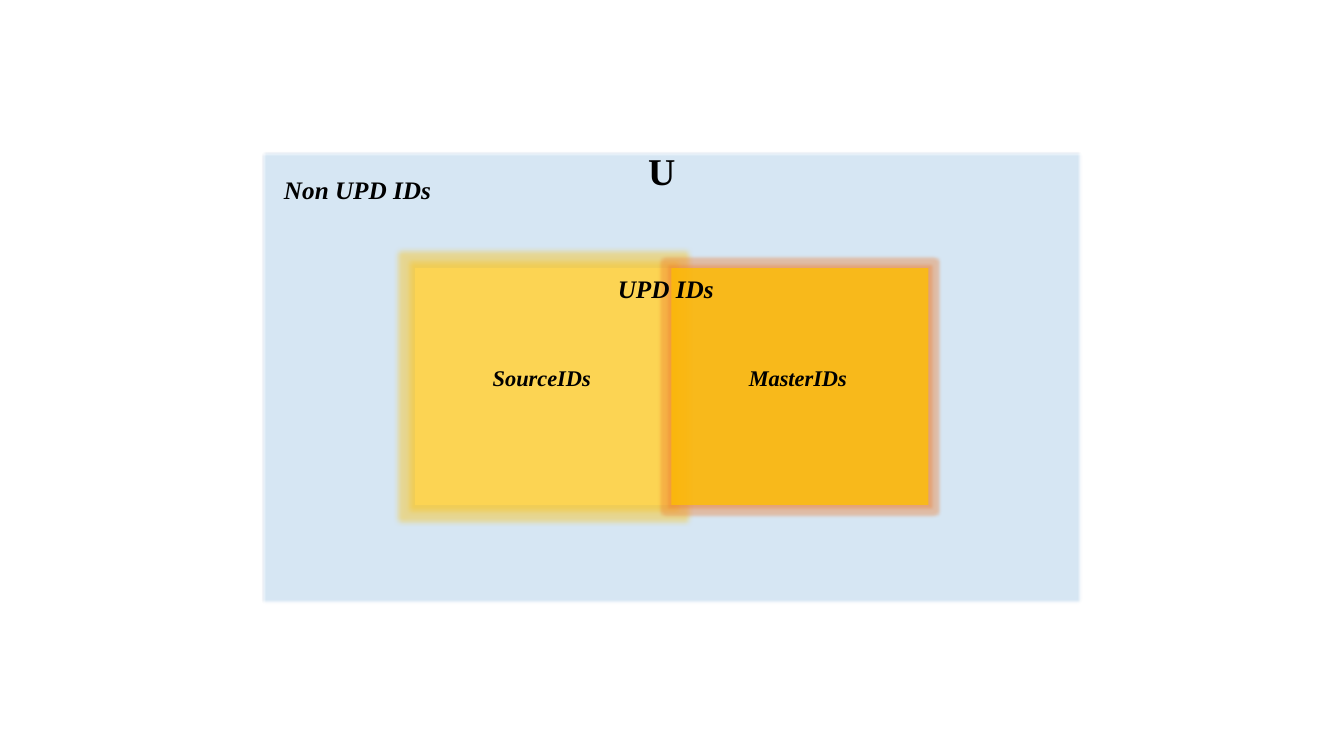
from lxml import etree
from pptx import Presentation
from pptx.dml.color import RGBColor
from pptx.enum.shapes import MSO_SHAPE
from pptx.enum.text import MSO_AUTO_SIZE
from pptx.oxml.ns import qn
from pptx.util import Pt

RECTANGLE = MSO_SHAPE.RECTANGLE
FIT_TEXT = MSO_AUTO_SIZE.SHAPE_TO_FIT_TEXT
FONT = "Times New Roman"
BLACK = "000000"

UNIVERSE = {"box": (187.2, 108.7, 585.4, 322.6), "fill": "BDD7EE", "opacity": 59,
            "line": "325491", "soft_edge": 2.5}
ID_SETS = [
    {"label": "SourceIDs", "fill": "FFD653", "opacity": 85, "glow": ("FFC000", 8)},
    {"label": "MasterIDs", "fill": "FFC000", "opacity": 77, "glow": ("ED7D31", 5)},
]
GLOW_OPACITY = 40
SET_LEFT, SET_TOP, SET_WIDTH, SET_HEIGHT, SET_STEP = 296.6, 191.5, 183.6, 169.2, 182.9
LABEL_WIDTH, LABEL_HEIGHT, LABEL_OFFSET = 87.1, 26.6, 64.8
UNIVERSE_LABELS = [
    ("U", (455.8, 102.2, 30.2, 40.3), {"size": Pt(27)}),
    ("Non UPD IDs", (195.8, 121, 133.9, 28.8), {"size": Pt(18), "italic": True}),
]
UNION_LABEL = ("UPD IDs", (434.2, 191.5, 90.7, 28.8), {"size": Pt(18), "italic": True})
SET_LABEL_FORMAT = {"size": Pt(16), "italic": True}


def color(value):
    return RGBColor.from_string(value)


def points(box):
    return [Pt(value) for value in box]


def add_opacity(color_element, percent):
    etree.SubElement(color_element, qn("a:alpha"), val=str(percent * 1000))


def add_area(box, fill, opacity, line=None, glow=None, soft_edge=None):
    shape = slide.shapes.add_shape(RECTANGLE, *points(box))
    shape.shadow.inherit = False
    shape.fill.solid()
    shape.fill.fore_color.rgb = color(fill)
    properties = shape._element.spPr
    add_opacity(properties.find(qn("a:solidFill")).find(qn("a:srgbClr")), opacity)
    if line:
        shape.line.color.rgb = color(line)
        shape.line.width = Pt(1)
    else:
        shape.line.fill.background()
    effects = properties.find(qn("a:effectLst"))
    if glow:
        glow_color, radius = glow
        element = etree.SubElement(effects, qn("a:glow"), rad=str(Pt(radius)))
        add_opacity(etree.SubElement(element, qn("a:srgbClr"), val=glow_color), GLOW_OPACITY)
    if soft_edge:
        etree.SubElement(effects, qn("a:softEdge"), rad=str(Pt(soft_edge)))


def add_label(text, box, formats):
    frame = slide.shapes.add_textbox(*points(box)).text_frame
    frame.word_wrap = True
    frame.auto_size = FIT_TEXT
    run = frame.paragraphs[0].add_run()
    run.text = text
    run.font.color.rgb = color(BLACK)
    for name, value in {"name": FONT, "bold": True, **formats}.items():
        setattr(run.font, name, value)


presentation = Presentation()
presentation.slide_width, presentation.slide_height = Pt(960), Pt(540)
slide = presentation.slides.add_slide(presentation.slide_layouts[6])

add_area(**UNIVERSE)
for universe_label in UNIVERSE_LABELS:
    add_label(*universe_label)

for index, id_set in enumerate(ID_SETS):
    left = SET_LEFT + index * SET_STEP
    add_area((left, SET_TOP, SET_WIDTH, SET_HEIGHT), id_set["fill"], id_set["opacity"],
             glow=id_set["glow"])
    label_left = left + (SET_WIDTH - LABEL_WIDTH) / 2
    add_label(id_set["label"], (label_left, SET_TOP + LABEL_OFFSET, LABEL_WIDTH, LABEL_HEIGHT),
              SET_LABEL_FORMAT)

add_label(*UNION_LABEL)
presentation.save("out.pptx")
